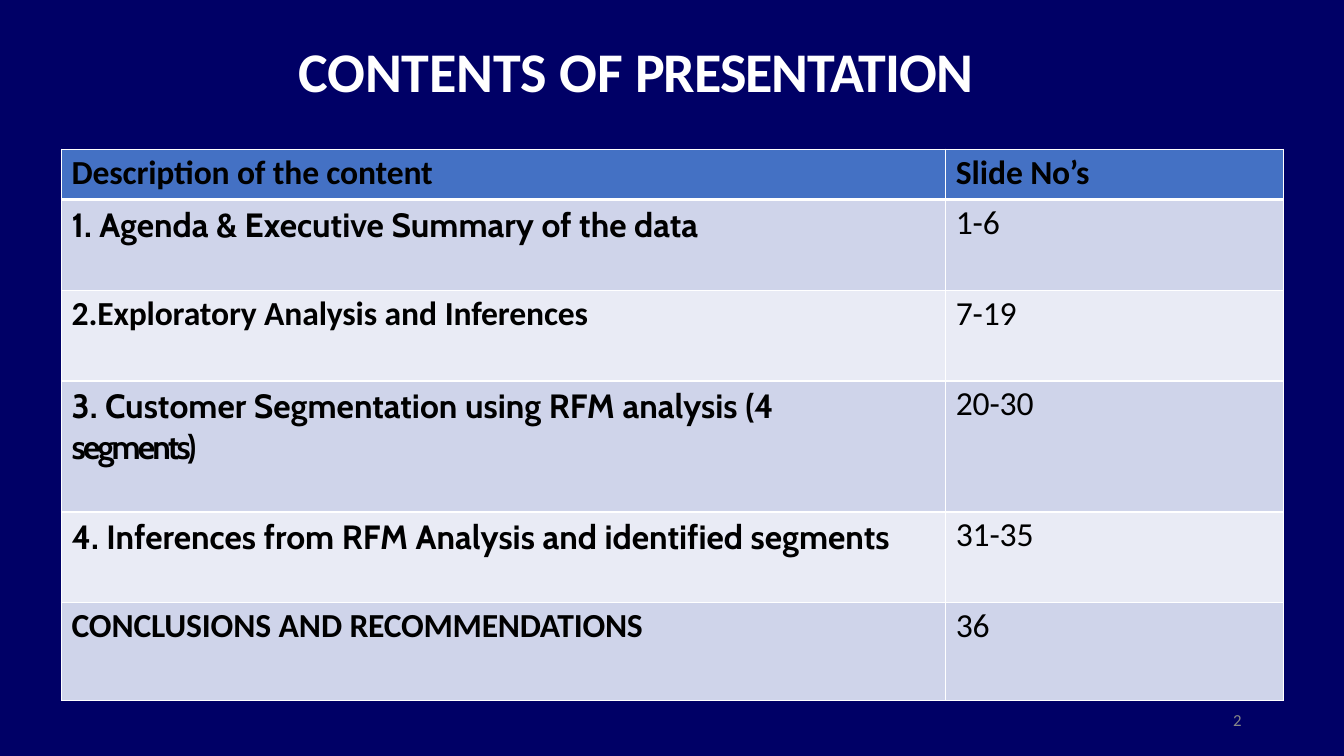
from lxml import etree
from pptx import Presentation
from pptx import util as u
from pptx.dml.color import RGBColor
from pptx.enum import text
from pptx.oxml import ns

NAVY = RGBColor(0x00, 0x00, 0x66)
BLUE = RGBColor(0x44, 0x71, 0xC4)
LILAC = RGBColor(0xCF, 0xD4, 0xEA)
PALE = RGBColor(0xE9, 0xEB, 0xF5)
WHITE = RGBColor(0xFF, 0xFF, 0xFF)
BLACK = RGBColor(0x00, 0x00, 0x00)
GREY = RGBColor(0x88, 0x88, 0x88)

BODY, ACCENT = "Calibri", "Cabin"
BREAK = "\n"


def write(tf, runs, font=BODY, size=24, color=BLACK, bold=False, indent=0.0,
          before=0, line=None, top=0.0):
    """Fill a text frame with one paragraph of (words, letter spacing) runs."""
    tf.word_wrap = True
    tf.margin_left = tf.margin_right = tf.margin_bottom = 0
    tf.margin_top = u.Inches(top)
    tf.vertical_anchor = text.MSO_ANCHOR.TOP
    p = tf.paragraphs[0]
    p.alignment = text.PP_ALIGN.LEFT
    p.space_before = u.Pt(before)
    if line:
        p.line_spacing = u.Pt(line)
    pPr = p._p.get_or_add_pPr()
    pPr.set("marL", str(u.Inches(indent)))
    pPr.set("indent", "0")
    for words, spacing in runs:
        if words == BREAK:
            p.add_line_break()
            continue
        r = p.add_run()
        r.text = words
        r.font.name, r.font.size, r.font.bold = font, u.Pt(size), bold
        r.font.color.rgb = color
        r._r.get_or_add_rPr().set("spc", str(round(spacing * 100)))


class Deck:
    """Current slide; lengths are percentages of its width and height."""

    def __init__(self):
        self.prs = Presentation()
        self.prs.slide_width, self.prs.slide_height = u.Inches(13.33), u.Inches(7.5)
        self.s = self.prs.slides.add_slide(self.prs.slide_layouts[5])
        fill = self.s.background.fill
        fill.solid()
        fill.fore_color.rgb = NAVY

    def x(self, share):
        return round(self.prs.slide_width * share / 100)

    def y(self, share):
        return round(self.prs.slide_height * share / 100)

    def box(self, left, top, width, height):
        return self.x(left), self.y(top), self.x(width), self.y(height)

    def title(self, place, runs, **fmt):
        sp = self.s.shapes.title
        sp.left, sp.top, sp.width, sp.height = self.box(*place)
        sp.text_frame.auto_size = text.MSO_AUTO_SIZE.NONE
        write(sp.text_frame, runs, **fmt)

    def label(self, place, runs, **fmt):
        write(self.s.shapes.add_textbox(*self.box(*place)).text_frame, runs, **fmt)

    def borders(self, cell, **widths):
        tcPr = cell._tc.get_or_add_tcPr()
        for i, side in enumerate("LRTB"):
            ln = etree.Element(ns.qn(f"a:ln{side}"), w=str(u.Pt(widths.get(side, 1))))
            fill = etree.SubElement(ln, ns.qn("a:solidFill"))
            etree.SubElement(fill, ns.qn("a:srgbClr"), val=str(WHITE))
            tcPr.insert(i, ln)

    def table(self, left, top, widths, heights, rows):
        place = self.box(left, top, sum(widths), sum(heights))
        tbl = self.s.shapes.add_table(len(rows), len(widths), *place).table
        for col, width in zip(tbl.columns, widths):
            col.width = self.x(width)
        for i, (font, *cells) in enumerate(rows):
            tbl.rows[i].height = self.y(heights[i])
            for j, runs in enumerate(cells):
                cell = tbl.cell(i, j)
                cell.fill.solid()
                cell.fill.fore_color.rgb = (LILAC if i % 2 else PALE) if i else BLUE
                self.borders(cell, T=3 if i == 1 else 1, B=1 if i else 3)
                face = BODY if j else font
                accent = face == ACCENT
                write(cell.text_frame, runs, font=face, bold=i == 0 or j == 0,
                      indent=0.1, before=3.3 if accent else 2.1)
                cell.margin_left = cell.margin_right = cell.margin_bottom = 0
                cell.margin_top = u.Inches(0.05 if accent else 0.03)
                cell.vertical_anchor = text.MSO_ANCHOR.TOP


# Contents: font of the description, description, slide numbers
CONTENTS = [
    (BODY, [("Description of the content", -0.1)], [("Slide", 0), (" No’s", -0.3)]),
    (ACCENT, [("1. Agenda & Executive Summary of the data", 0)], [("1-6", -0.1)]),
    (BODY, [("2.Exploratory Analysis", -0.1), (" and ", 0), ("Inferences", -0.1)],
     [("7-19", -0.1)]),
    (ACCENT, [("3. Customer Segmentation using RFM analysis (4", 0), (BREAK, 0),
              ("segments)", -2)], [("20-30", -0.1)]),
    (ACCENT, [("4. Inferences from RFM Analysis and identified segments", 0)],
     [("31-35", -0.1)]),
    (BODY, [("CONCLUSIONS ", -0.1), ("AND", 0), (" RECOMMENDATIONS", -0.2)],
     [("36", -0.1)]),
]


def main():
    deck = Deck()
    # Heading
    deck.title((22.13, 4.67, 51.31, 9.2),
               [("CONTENTS OF ", -0.1), ("PRESENTATION", -0.7)],
               size=40, color=WHITE, bold=True, indent=0.01, before=0.9, top=0.01)
    # Contents table
    deck.table(4.58, 19.73, [65.79, 25.13], [6.67, 12, 12, 17.33, 12, 12.93], CONTENTS)
    # Slide number
    deck.label((90.77, 94.27, 1.88, 2.53), [("2", 0)],
               size=12, color=GREY, indent=0.13, line=12.4)
    deck.prs.save("out.pptx")


if __name__ == "__main__":
    main()
